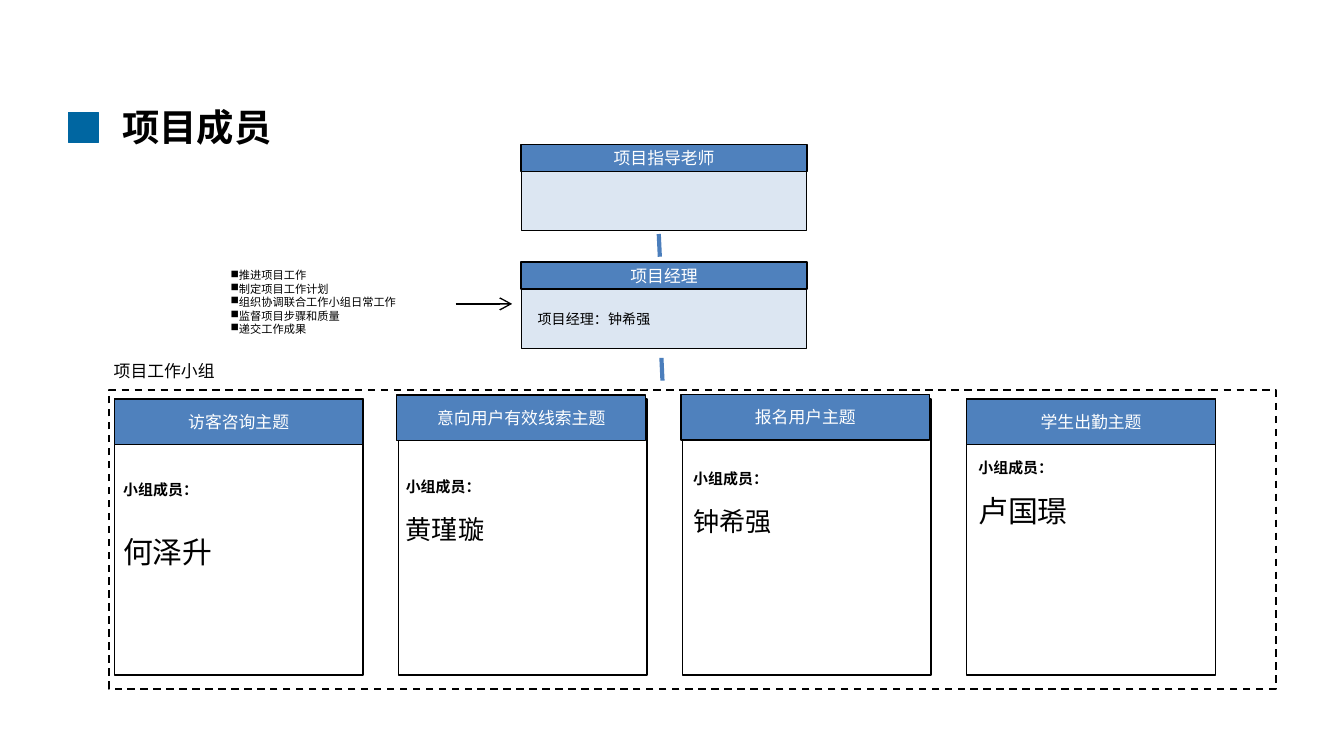
"""Build the project members slide."""
from lxml import etree
from pptx import Presentation
from pptx.dml.color import RGBColor
from pptx.enum import dml, shapes, text
from pptx.oxml import ns
from pptx.util import Cm, Pt

FONT = "Noto Sans CJK SC"
BLACK, WHITE, BLUE, PALE, TICK, MARK = "000000", "FFFFFF", "4F81BD", "DCE6F2", "4B7EBC", "0066A1"
color = RGBColor.from_string

deck = Presentation()
deck.slide_width, deck.slide_height = Cm(25.4), Cm(14.28)
page = deck.slides.add_slide(deck.slide_layouts[6])


def add_box(left, top, width, height, fill=None, line=BLACK, weight=0.75):
    box = page.shapes.add_shape(shapes.MSO_SHAPE.RECTANGLE, Cm(left), Cm(top), Cm(width), Cm(height))
    box.shadow.inherit = False
    if fill:
        box.fill.solid()
        box.fill.fore_color.rgb = color(fill)
    else:
        box.fill.background()
    box.line.color.rgb = color(line)
    box.line.width = Pt(weight)
    return box


def write(box, words, sizes, ink=BLACK, bold=False):
    frame = box.text_frame
    frame.text = words
    frame.word_wrap = True
    for para, size in zip(frame.paragraphs, sizes):
        for span in para.runs:
            span.font.size = Pt(size)
            span.font.bold = bold
            span.font.name = FONT
            span.font.color.rgb = color(ink)
            etree.SubElement(span.font._element, ns.qn("a:ea"), typeface=FONT)
    return frame


headers = []
for top, title in [(2.73, "项目指导老师"), (4.95, "项目经理")]:
    add_box(9.86, top, 5.38, 1.63, PALE)
    headers.append((add_box(9.85, top, 5.4, 0.51, BLUE), title))

group = add_box(2.06, 7.37, 22.05, 5.64, weight=1)
group.line.dash_style = dml.MSO_LINE.DASH

for row in range(2):
    for column in range(2):
        add_box(1.3 + 0.28 * column, 2.13 + 0.28 * row, 0.28, 0.28, MARK, MARK, 0.5)

cards = [
    ("访客咨询主题", "何泽升", 0, 0, 2.08, 8.86, 16, 14.5, 1.25),
    ("意向用户有效线索主题", "黄瑾璇", 0.03, 0.08, 7.42, 8.89, 14, 9.6, 1),
    ("报名用户主题", "钟希强", 0.03, 0.09, 12.85, 8.74, 14, 9.6, 1),
    ("学生出勤主题", "卢国璟", 0, 0, 18.24, 8.53, 16, 9, 1),
]
for index, (title, member, shift, lift, left, top, size, gap, spacing) in enumerate(cards):
    card_left = 2.16 + 5.37 * index
    add_box(card_left, 7.54, 4.7, 5.21)
    headers.append((add_box(card_left - shift, 7.54 - lift, 4.7, 0.86, BLUE), title))
    box = page.shapes.add_textbox(Cm(left), Cm(top), Cm(4.75), Cm(1.85))
    frame = write(box, "小组成员：\n" + member, [8, size])
    label, name = frame.paragraphs
    label.runs[0].font.bold = True
    name.space_before = Pt(gap)
    label.line_spacing = name.line_spacing = spacing

for box, title in headers:
    frame = write(box, title, [9], WHITE)
    frame.word_wrap = False
    frame.vertical_anchor = text.MSO_ANCHOR.MIDDLE
    frame.paragraphs[0].alignment = text.PP_ALIGN.CENTER

for left, top, width, height, words, size, bold in [
    (2.06, 1.85, 16.6, 1.12, "项目成员", 20, True),
    (1.9, 6.68, 3.3, 0.64, "项目工作小组", 9, False),
    (9.91, 5.74, 5.33, 0.58, "项目经理：钟希强", 7.5, False),
]:
    write(page.shapes.add_textbox(Cm(left), Cm(top), Cm(width), Cm(height)), words, [size], bold=bold)

duties = ["推进项目工作", "制定项目工作计划", "组织协调联合工作小组日常工作", "监督项目步骤和质量", "递交工作成果"]
box = page.shapes.add_textbox(Cm(4.11), Cm(4.95), Cm(4.06), Cm(1.55))
for para in write(box, "\n".join(duties), [6] * len(duties)).paragraphs:
    etree.SubElement(para._p.get_or_add_pPr(), ns.qn("a:buChar"), char="■")

for x1, y1, x2, y2, ink, weight in [
    (12.45, 4.42, 12.47, 4.85, TICK, 2.25),
    (12.5, 6.76, 12.52, 7.19, TICK, 2.25),
    (8.61, 5.74, 9.68, 5.74, BLACK, 0.75),
]:
    link = page.shapes.add_connector(shapes.MSO_CONNECTOR.STRAIGHT, Cm(x1), Cm(y1), Cm(x2), Cm(y2))
    link.line.color.rgb = color(ink)
    link.line.width = Pt(weight)
    etree.SubElement(link._element.spPr, ns.qn("a:effectLst"))
    if ink == BLACK:
        etree.SubElement(link.line._get_or_add_ln(), ns.qn("a:tailEnd"), type="arrow")

deck.save("out.pptx")
